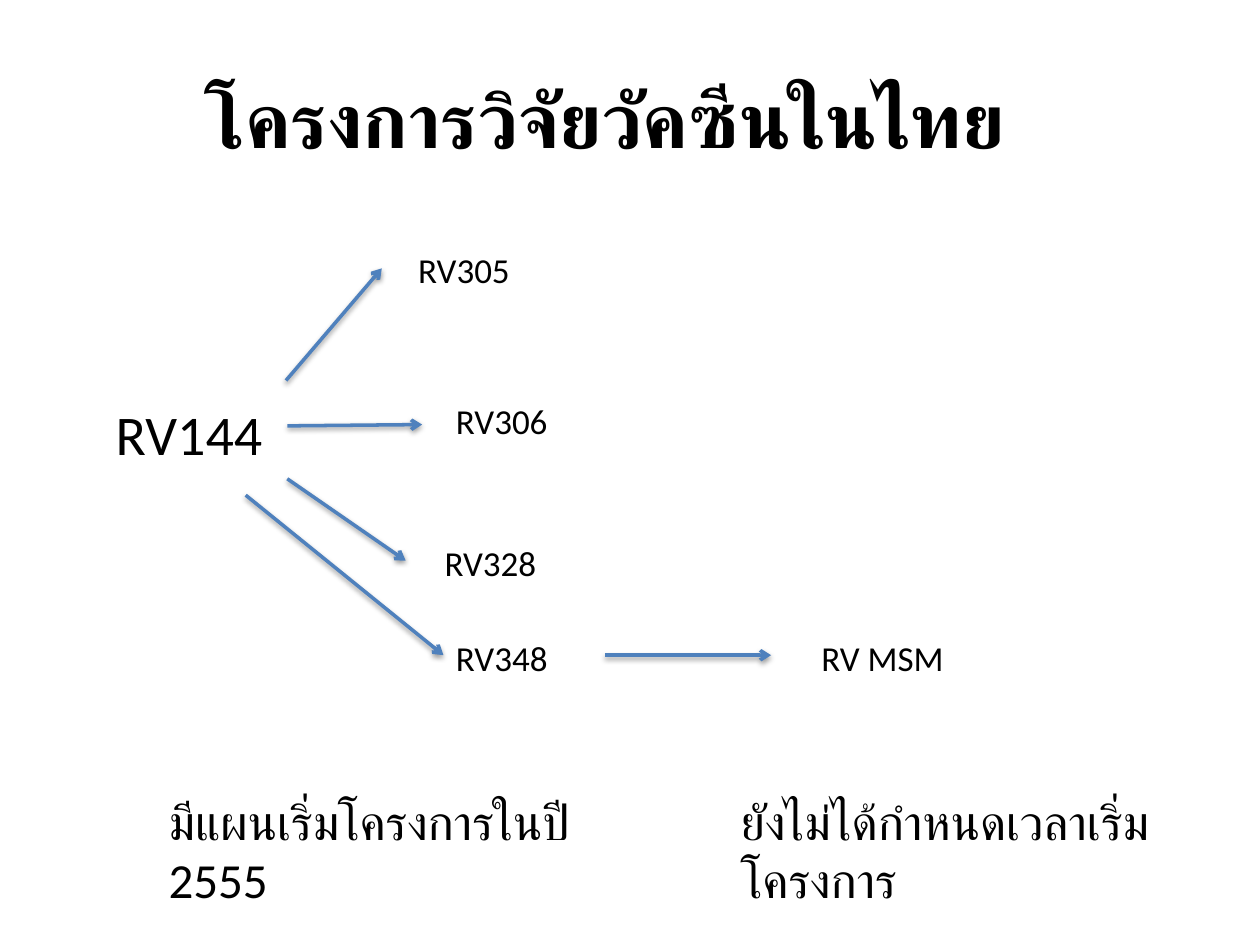
from dataclasses import dataclass

from lxml.etree import SubElement
from pptx import Presentation
from pptx.dml.color import RGBColor
from pptx.enum.shapes import MSO_CONNECTOR
from pptx.enum.text import MSO_ANCHOR, MSO_AUTO_SIZE, PP_ALIGN
from pptx.oxml import parse_xml
from pptx.oxml.ns import nsdecls, qn
from pptx.slide import Slide
from pptx.text.text import TextFrame
from pptx.util import Inches, Pt


@dataclass(frozen=True)
class Theme:
    font: str = "Calibri"
    text: RGBColor = RGBColor(0, 0, 0)
    arrow: RGBColor = RGBColor(0x4F, 0x81, 0xBD)
    arrow_width: float = 2
    title_size: int = 44
    root_size: int = 32
    note_size: int = 28
    study_size: int = 20


@dataclass(frozen=True)
class Label:
    text: str
    left: float
    top: float
    width: float
    height: float
    size: int


@dataclass(frozen=True)
class Arrow:
    start: tuple[float, float]
    end: tuple[float, float]


THEME = Theme()
TITLE = Label("โครงการวิจัยวัคซีนในไทย", 0.3, 0.31, 9, 1.25, THEME.title_size)
STUDIES = [
    ("RV305", 3.22, 1.92, 1.78),
    ("RV306", 3.52, 3.12, 1.8),
    ("RV328", 3.43, 4.25, 2.35),
    ("RV348", 3.52, 5, 1.28),
    ("RV MSM", 6.42, 5, 1.7),
]
NOTES = [
    ("มีแผนเริ่มโครงการในปี 2555", 1.24, 4.07),
    ("ยังไม่ได้กำหนดเวลาเริ่มโครงการ", 5.78, 3.99),
]
LABELS = [
    Label("RV144", 0.82, 3.12, 2.13, 0.64, THEME.root_size),
    *(Label(*study, 0.44, THEME.study_size) for study in STUDIES),
    *(Label(text, left, 6.23, width, 0.57, THEME.note_size) for text, left, width in NOTES),
]
ARROWS = [
    Arrow((2.27, 3.02), (3.03, 2.13)),
    Arrow((2.28, 3.38), (3.35, 3.37)),
    Arrow((2.28, 3.8), (3.22, 4.45)),
    Arrow((1.95, 3.93), (3.52, 5.2)),
    Arrow((4.8, 5.2), (6.12, 5.2)),
]


def write_text(text_frame: TextFrame, label: Label, bold: bool = False) -> None:
    text_frame.text = label.text
    text_frame.word_wrap = True
    for run in text_frame.paragraphs[0].runs:
        run.font.name = THEME.font
        run.font.size = Pt(label.size)
        run.font.bold = bold
        run.font.color.rgb = THEME.text


def draw_title(slide: Slide, label: Label) -> None:
    title = slide.shapes.title
    title.left, title.top = Inches(label.left), Inches(label.top)
    title.width, title.height = Inches(label.width), Inches(label.height)
    write_text(title.text_frame, label, bold=True)
    title.text_frame.vertical_anchor = MSO_ANCHOR.MIDDLE
    title.text_frame.paragraphs[0].alignment = PP_ALIGN.CENTER


def draw_label(slide: Slide, label: Label) -> None:
    box = slide.shapes.add_textbox(
        Inches(label.left), Inches(label.top), Inches(label.width), Inches(label.height)
    )
    write_text(box.text_frame, label)
    box.text_frame.auto_size = MSO_AUTO_SIZE.SHAPE_TO_FIT_TEXT


def draw_arrow(slide: Slide, arrow: Arrow) -> None:
    connector = slide.shapes.add_connector(
        MSO_CONNECTOR.STRAIGHT, *map(Inches, arrow.start + arrow.end)
    )
    connector.line.color.rgb = THEME.arrow
    connector.line.width = Pt(THEME.arrow_width)
    properties = connector.line._get_or_add_ln()
    SubElement(properties, qn("a:tailEnd"), type="arrow")
    shadow = parse_xml(
        f'<a:effectLst {nsdecls("a")}>'
        f'<a:outerShdw blurRad="{Pt(3.1)}" dist="{Pt(1.6)}" dir="5400000" rotWithShape="0">'
        '<a:srgbClr val="000000"><a:alpha val="38000"/></a:srgbClr>'
        "</a:outerShdw></a:effectLst>"
    )
    properties.addnext(shadow)


def main() -> None:
    presentation = Presentation()
    presentation.slide_width = Inches(10)
    presentation.slide_height = Inches(7.5)
    slide = presentation.slides.add_slide(presentation.slide_layouts.get_by_name("Title Only"))
    draw_title(slide, TITLE)
    for arrow in ARROWS:
        draw_arrow(slide, arrow)
    for label in LABELS:
        draw_label(slide, label)
    presentation.save("out.pptx")


if __name__ == "__main__":
    main()
